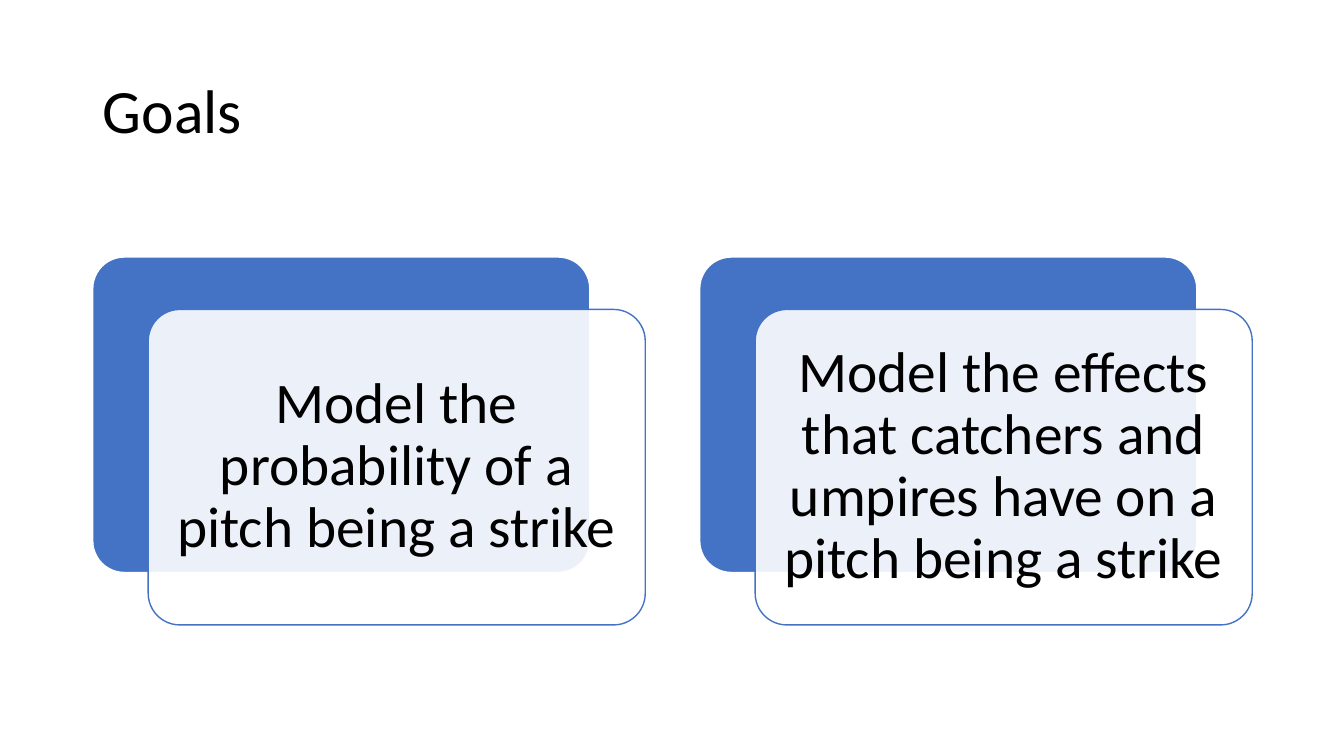
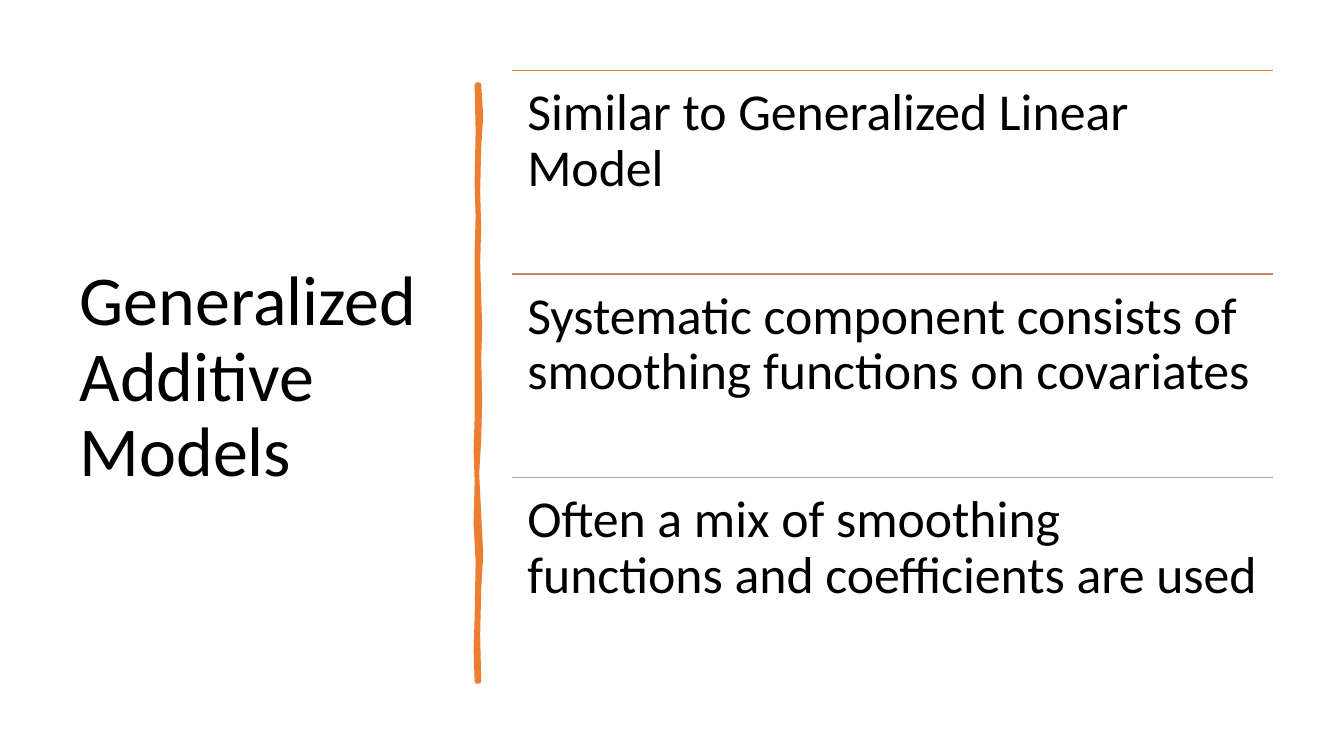
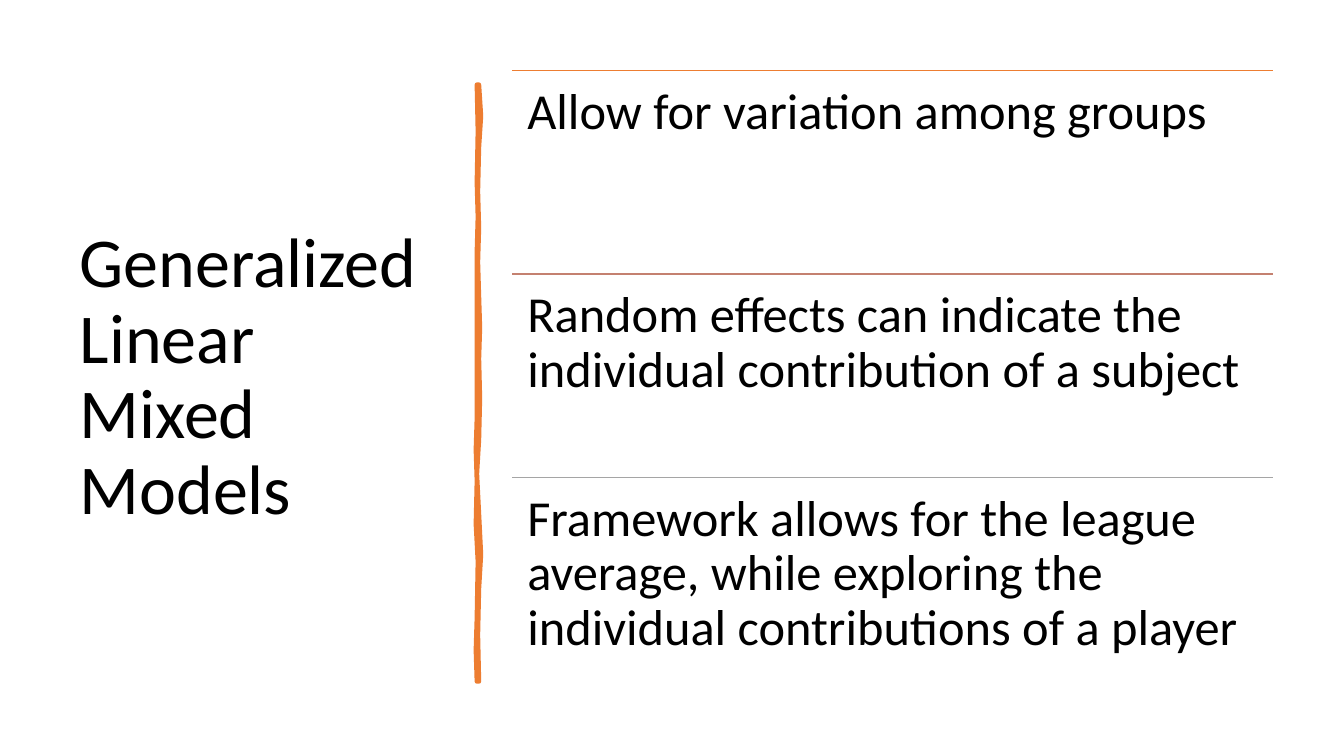
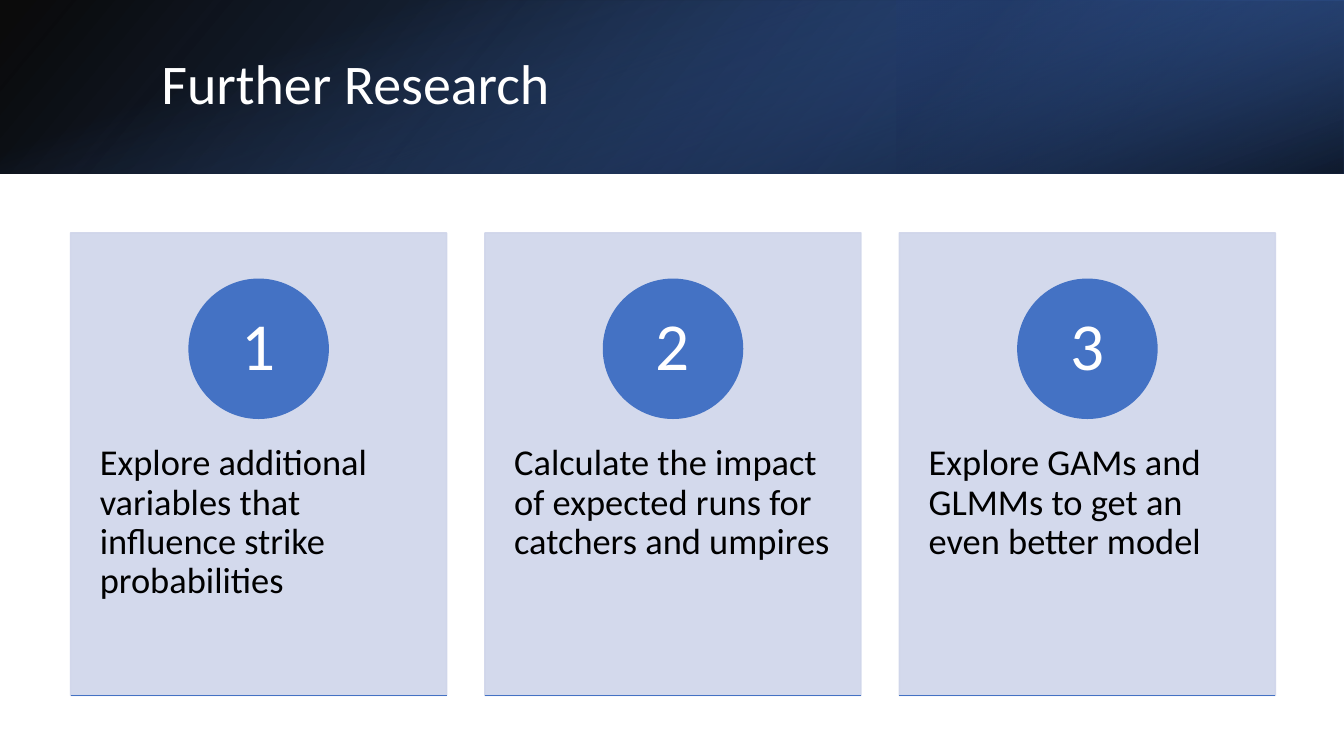
from dataclasses import dataclass

from lxml import etree
from pptx import Presentation
from pptx.dml.color import RGBColor
from pptx.enum import shapes, text
from pptx.oxml import ns
from pptx.util import Inches, Pt

KIND = shapes.MSO_SHAPE
ALIGN = text.PP_ALIGN
ANCHOR = text.MSO_ANCHOR


@dataclass(frozen=True)
class Theme:
    font: str = "Calibri"
    black: str = "000000"
    white: str = "FFFFFF"
    blue: str = "4472C4"
    navy: str = "203864"
    steel: str = "2F5597"
    pale: str = "CFD5EA"
    orange: str = "ED7D31"
    clay: str = "C48170"
    gray: str = "A5A5A5"
    head: int = 44
    side: int = 50
    band: int = 40
    goal: int = 41
    card: int = 26
    digit: int = 48


LOOK = Theme()

# Edges of the hand-drawn stroke as (x, y) in hundredths of an inch
STROKE = [
    (475, 84), (477, 115), (475, 146), (474, 190), (475, 226), (474, 260),
    (475, 294), (476, 325), (475, 356), (476, 395), (475, 436), (473, 470),
    (475, 510), (477, 550), (475, 584), (474, 630), (475, 676),
    (473, 676), (472, 645), (473, 613), (474, 557), (472, 520), (473, 477),
    (472, 446), (473, 415), (473, 335), (473, 250), (474, 215), (473, 181),
    (474, 130), (473, 84),
]


def put(thing, **values):
    for name, value in values.items():
        setattr(thing, name, value)


def add(parent, tag, **attrs):
    node = etree.SubElement(parent, ns.qn(tag))
    for name, value in attrs.items():
        node.set(name, str(value))
    return node


class Deck:
    def __init__(self, look):
        self.look = look
        self.show = Presentation()
        put(self.show, slide_width=Inches(13.33), slide_height=Inches(7.5))
        self.slide = None

    def page(self):
        self.slide = self.show.slides.add_slide(self.show.slide_layouts[5])

    def letter(self, frame, words, size, color=None, align=ALIGN.LEFT,
               anchor=ANCHOR.TOP, pad=(0.1, 0.05)):
        """Fill a text frame with one styled paragraph."""
        side, end = map(Inches, pad)
        put(frame, text=words, word_wrap=True, auto_size=text.MSO_AUTO_SIZE.NONE,
            vertical_anchor=anchor, margin_left=side, margin_right=side,
            margin_top=end, margin_bottom=end)
        para = frame.paragraphs[0]
        put(para, alignment=align, line_spacing=0.9)
        font = para.runs[0].font
        put(font, name=self.look.font, size=Pt(size))
        font.color.rgb = RGBColor.from_string(color or self.look.black)

    def title(self, words, box, size, color=None):
        """Place the title in front of everything drawn so far."""
        shape = self.slide.shapes.title
        left, top, width, height = map(Inches, box)
        put(shape, left=left, top=top, width=width, height=height)
        self.letter(shape.text_frame, words, size, color, anchor=ANCHOR.MIDDLE)
        self.slide.shapes._spTree.append(shape._element)

    def label(self, words, box, size, pad):
        shape = self.slide.shapes.add_textbox(*map(Inches, box))
        self.letter(shape.text_frame, words, size, pad=pad)

    def paint(self, fill, color, alpha=100):
        fill.solid()
        fill.fore_color.rgb = RGBColor.from_string(color)
        if alpha < 100:
            node = fill._xPr.find(ns.qn("a:solidFill"))[0]
            add(node, "a:alpha", val=alpha * 1000)

    def shape(self, kind, box, fill, line=None, alpha=100, fade=100):
        shape = self.slide.shapes.add_shape(kind, *map(Inches, box))
        shape.shadow.inherit = False
        self.paint(shape.fill, fill, alpha)
        self.paint(shape.line.fill, line or fill, fade)
        shape.line.width = Pt(1)
        if kind == KIND.ROUNDED_RECTANGLE:
            shape.adjustments[0] = 0.1
        return shape

    def shade(self, box, stops, angle, turn=0, flip=False):
        """Rectangle with a gradient of (place, colour, opacity) stops."""
        shape = self.shape(KIND.RECTANGLE, box, self.look.blue)
        shape.line.fill.background()
        shape.rotation = turn
        props = shape._element.spPr
        if flip:
            props.xfrm.set("flipH", "1")
        old = props.find(ns.qn("a:solidFill"))
        grad = etree.Element(ns.qn("a:gradFill"), rotWithShape="1")
        props.replace(old, grad)
        row = add(grad, "a:gsLst")
        for place, color, alpha in stops:
            stop = add(row, "a:gs", pos=place * 1000)
            tone = add(stop, "a:srgbClr", val=color)
            add(tone, "a:alpha", val=alpha * 1000)
        add(grad, "a:lin", ang=angle * 60000, scaled=0)

    def rule(self, left, top, width, color):
        line = self.slide.shapes.add_connector(
            shapes.MSO_CONNECTOR.STRAIGHT,
            *map(Inches, (left, top, left + width, top)))
        self.paint(line.line.fill, color)
        line.line.width = Pt(1)
        add(line._element.spPr, "a:effectLst")

    def stroke(self):
        pen = self.slide.shapes.build_freeform(*STROKE[0], scale=Inches(0.01))
        pen.add_line_segments(STROKE[1:], close=True)
        shape = pen.convert_to_shape()
        shape.shadow.inherit = False
        self.paint(shape.fill, self.look.orange)
        self.paint(shape.line.fill, self.look.orange)
        shape.line.width = Pt(3.25)
        add(shape.line._ln, "a:round")

    def goals(self, items):
        wide, high = 4.93, 3.13
        for i, words in enumerate(items):
            left = 0.92 + 6.02 * i
            self.shape(KIND.ROUNDED_RECTANGLE, (left, 2.55, wide, high),
                       self.look.blue, self.look.white)
            front = self.shape(KIND.ROUNDED_RECTANGLE,
                               (left + 0.55, 3.07, wide, high),
                               self.look.white, self.look.blue, alpha=90)
            self.letter(front.text_frame, words, self.look.goal,
                        align=ALIGN.CENTER, anchor=ANCHOR.MIDDLE, pad=(0.17, 0.17))

    def model(self, head, size, items):
        """Slide with a side title, a stroke and ruled statements."""
        self.page()
        self.title(head, (0.69, 0.7, 3.74, 6.11), self.look.side)
        self.stroke()
        left, wide, step = 5.08, 7.55, 2.02
        tones = self.look.orange, self.look.clay, self.look.gray
        for i, (words, tone) in enumerate(zip(items, tones)):
            top = 0.7 + step * i
            self.rule(left, top, wide, tone)
            self.label(words, (left, top, wide, step), size, (0.15, 0.15))

    def band(self):
        look = self.look
        self.shade((0, 0, 13.33, 1.72),
                   [(0, look.black, 96), (100, look.steel, 100)], 140, flip=True)
        self.shade((8.89, 0, 4.44, 1.72),
                   [(19, look.navy, 68), (100, look.blue, 79)], 320, 180, True)
        self.shade((5.8, -5.8, 1.72, 13.33),
                   [(23, look.blue, 0), (99, look.black, 74)], 340, 90)

    def cards(self, items):
        look, wide, disc = self.look, 3.73, 1.38
        for i, words in enumerate(items):
            left = 0.7 + 4.11 * i
            self.shape(KIND.RECTANGLE, (left, 2.31, wide, 4.59), look.pale,
                       alpha=90, fade=90)
            self.label(words, (left, 4.05, wide, 2.75), look.card, (0.29, 0.36))
            mid = left + (wide - disc) / 2
            dot = self.shape(KIND.OVAL, (mid, 2.77, disc, disc), look.blue)
            self.letter(dot.text_frame, str(i + 1), look.digit, look.white,
                        ALIGN.CENTER, ANCHOR.MIDDLE, (0.11, 0.01))
            self.rule(left, 6.9, wide, look.blue)


def main():
    deck = Deck(LOOK)

    deck.page()
    deck.title("Goals", (0.92, 0.4, 11.5, 1.45), LOOK.head)
    deck.goals([
        "Model the probability of a pitch being a strike",
        "Model the effects that catchers and umpires have on a pitch being a strike",
    ])

    deck.model("Generalized Additive Models", 37, [
        "Similar to Generalized Linear Model",
        "Systematic component consists of smoothing functions on covariates",
        "Often a mix of smoothing functions and coefficients are used",
    ])
    deck.model("Generalized Linear Mixed Models", 36, [
        "Allow for variation among groups",
        "Random effects can indicate the individual contribution of a subject",
        "Framework allows for the league average, while exploring the "
        "individual contributions of a player",
    ])

    deck.page()
    deck.band()
    deck.title("Further Research", (1.5, 0.38, 10.98, 0.96), LOOK.band, LOOK.white)
    deck.cards([
        "Explore additional variables that influence strike probabilities",
        "Calculate the impact of expected runs for catchers and umpires",
        "Explore GAMs and GLMMs to get an even better model",
    ])

    deck.show.save("out.pptx")


if __name__ == "__main__":
    main()
